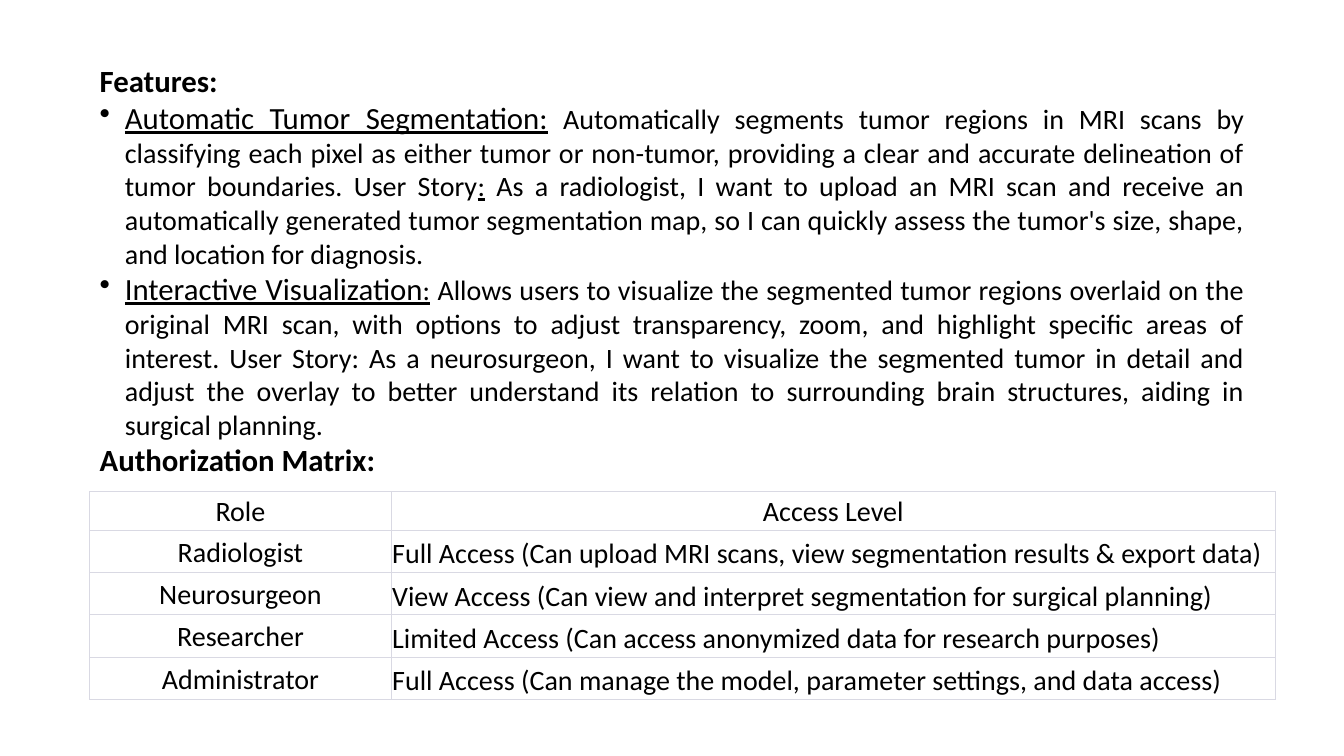
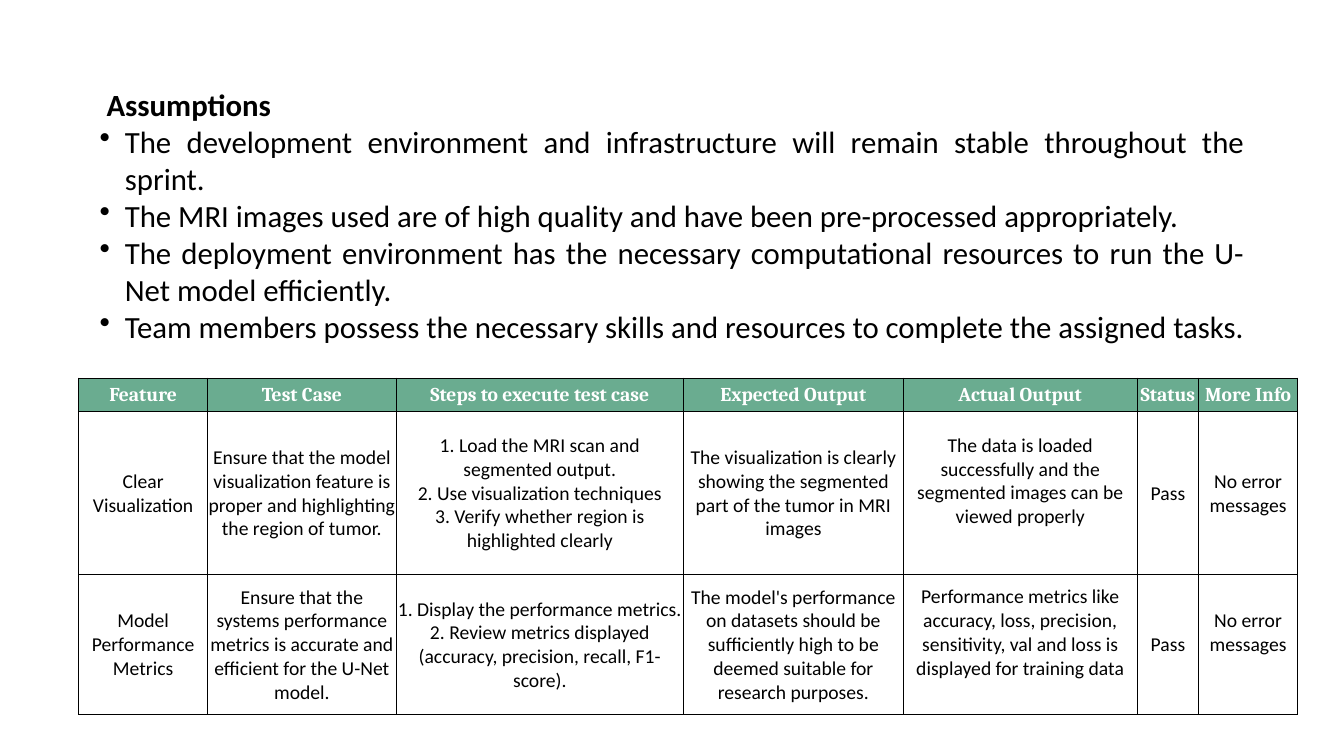
from dataclasses import dataclass

from lxml import etree
from pptx import Presentation
from pptx.dml.color import RGBColor
from pptx.enum.text import MSO_ANCHOR, PP_ALIGN
from pptx.oxml.ns import qn
from pptx.util import Inches, Pt

CENTER, JUSTIFY = PP_ALIGN.CENTER, PP_ALIGN.JUSTIFY
TOP, MIDDLE, BOTTOM = MSO_ANCHOR.TOP, MSO_ANCHOR.MIDDLE, MSO_ANCHOR.BOTTOM


@dataclass(frozen=True)
class Theme:
    body_font: str = "Calibri"
    header_font: str = "Cambria"
    black: str = "000000"
    white: str = "FFFFFF"
    green: str = "6AAC90"
    grey: str = "D9D9E3"
    large: int = 22
    medium: int = 20
    small: int = 14


T = Theme()


def add_text(s, top, height, paragraphs):
    tf = s.shapes.add_textbox(Inches(0.89), Inches(top), Inches(11.55), Inches(height)).text_frame
    tf.word_wrap = True
    tf.vertical_anchor = TOP
    for i, (is_heading, runs) in enumerate(paragraphs):
        p = tf.paragraphs[0] if i == 0 else tf.add_paragraph()
        p.alignment = JUSTIFY
        p.font.name = T.body_font
        p.font.size = Pt(T.large)
        p.font.bold = is_heading
        p.font.color.rgb = RGBColor.from_string(T.black)
        if not is_heading:
            pPr = p._p.get_or_add_pPr()
            pPr.set("marL", str(Inches(0.25)))
            pPr.set("indent", str(-Inches(0.25)))
            bullet = etree.Element(qn("a:buChar"), char="•")
            pPr.insert(0, bullet)
        for text, size, underline in runs:
            r = p.add_run()
            r.text = text
            if size != T.large:
                r.font.size = Pt(size)
            if underline:
                r.font.underline = True


def add_grid(s, left, top, widths, heights, rows, border, border_width, bottom_margin):
    frame = s.shapes.add_table(len(rows), len(widths), Inches(left), Inches(top),
                               Inches(sum(widths)), Inches(sum(heights)))
    table = frame.table
    table.first_row = table.horz_banding = False
    for column, width in zip(table.columns, widths):
        column.width = Inches(width)
    for row, height, texts in zip(table.rows, heights, rows):
        row.height = Inches(height)
        for cell, text in zip(row.cells, texts):
            cell.text = text
            cell.vertical_anchor = MIDDLE
            cell.margin_left = cell.margin_right = cell.margin_top = Inches(0.01)
            cell.margin_bottom = Inches(bottom_margin)
            cell.fill.background()
            for p in cell.text_frame.paragraphs:
                p.alignment = CENTER
                p.font.name = T.body_font
                p.font.color.rgb = RGBColor.from_string(T.black)
            tcPr = cell._tc.get_or_add_tcPr()
            for i, side in enumerate(("a:lnL", "a:lnR", "a:lnT", "a:lnB")):
                ln = etree.Element(qn(side), w=str(Pt(border_width)))
                fill = etree.SubElement(ln, qn("a:solidFill"))
                etree.SubElement(fill, qn("a:srgbClr"), val=border)
                tcPr.insert(i, ln)
    return table


prs = Presentation()
prs.slide_width, prs.slide_height = Inches(13.33), Inches(7.5)
blank = prs.slide_layouts[6]

s = prs.slides.add_slide(blank)
add_text(s, 0.56, 4.3, [
    (True, [("Features:", T.large, False)]),
    (False, [
        ("Automatic Tumor Segmentation:", T.large, True),
        (" ", T.large, False),
        ("Automatically segments tumor regions in MRI scans by classifying each pixel as either "
         "tumor or non-tumor, providing a clear and accurate delineation of tumor boundaries. "
         "User Story", T.medium, False),
        (":", T.medium, True),
        (" As a radiologist, I want to upload an MRI scan and receive an automatically generated "
         "tumor segmentation map, so I can quickly assess the tumor's size, shape, and location "
         "for diagnosis.", T.medium, False),
    ]),
    (False, [
        ("Interactive Visualization", T.large, True),
        (":", T.medium, True),
        (" Allows users to visualize the segmented tumor regions overlaid on the original MRI "
         "scan, with options to adjust transparency, zoom, and highlight specific areas of "
         "interest. User Story: As a neurosurgeon, I want to visualize the segmented tumor in "
         "detail and adjust the overlay to better understand its relation to surrounding brain "
         "structures, aiding in surgical planning.", T.medium, False),
    ]),
    (True, [("Authorization Matrix:", T.large, False)]),
])

access_rows = [
    ("Role", "Access Level"),
    ("Radiologist", "Full Access (Can upload MRI scans, view segmentation results & export data)"),
    ("Neurosurgeon", "View Access (Can view and interpret segmentation for surgical planning)"),
    ("Researcher", "Limited Access (Can access anonymized data for research purposes)"),
    ("Administrator", "Full Access (Can manage the model, parameter settings, and data access)"),
]
access = add_grid(s, 0.89, 4.88, [2.99, 8.77], [0.38] + [0.42] * 4, access_rows, T.grey, 1, 0.01)
for cell in access.iter_cells():
    p = cell.text_frame.paragraphs[0]
    p.font.size = Pt(T.medium)
    p.line_spacing = 1.07
    p.space_after = Pt(8)
for i, row in enumerate(access.rows):
    level = row.cells[1]
    level.vertical_anchor = BOTTOM
    if i > 0:
        level.text_frame.paragraphs[0].alignment = JUSTIFY

s = prs.slides.add_slide(blank)
assumptions = [
    "The development environment and infrastructure will remain stable throughout the sprint.",
    "The MRI images used are of high quality and have been pre-processed appropriately.",
    "The deployment environment has the necessary computational resources to run the U-Net model "
    "efficiently.",
    "Team members possess the necessary skills and resources to complete the assigned tasks.",
]
add_text(s, 0.8, 2.71, [(True, [(" Assumptions", T.large, False)])]
         + [(False, [(text, T.large, False)]) for text in assumptions])

test_rows = [
    ("Feature", "Test Case", "Steps to execute test case", "Expected Output", "Actual Output",
     "Status", "More Info"),
    ("Clear Visualization",
     "Ensure that the model visualization feature is proper and highlighting the region of tumor.",
     "1. Load the MRI scan and segmented output.\n2. Use visualization techniques\n"
     "3. Verify whether region is highlighted clearly",
     "The visualization is clearly showing the segmented part of the tumor in MRI images",
     "The data is loaded successfully and the segmented images can be viewed properly",
     "Pass", "No error messages"),
    ("Model Performance Metrics",
     "Ensure that the systems performance metrics is accurate and efficient for the U-Net model.",
     "1. Display the performance metrics.\n"
     "2. Review metrics displayed (accuracy, precision, recall, F1-score).",
     "The model's performance on datasets should be sufficiently high to be deemed suitable for "
     "research purposes.",
     "Performance metrics like accuracy, loss, precision, sensitivity, val and loss is displayed "
     "for training data",
     "Pass", "No error messages"),
]
tests = add_grid(s, 0.78, 3.75, [1.28, 1.87, 2.85, 2.18, 2.32, 0.61, 0.98], [0.33, 1.62, 1.39],
                 test_rows, T.black, 0.5, 0)
for cell in tests.iter_cells():
    for p in cell.text_frame.paragraphs:
        p.font.size = Pt(T.small)
for cell in tests.rows[0].cells:
    cell.fill.solid()
    cell.fill.fore_color.rgb = RGBColor.from_string(T.green)
    p = cell.text_frame.paragraphs[0]
    p.font.name = T.header_font
    p.font.bold = True
    p.font.color.rgb = RGBColor.from_string(T.white)
for row, column in ((1, 4), (2, 4), (2, 6)):
    tests.cell(row, column).margin_bottom = Inches(0.24)

prs.save("out.pptx")
